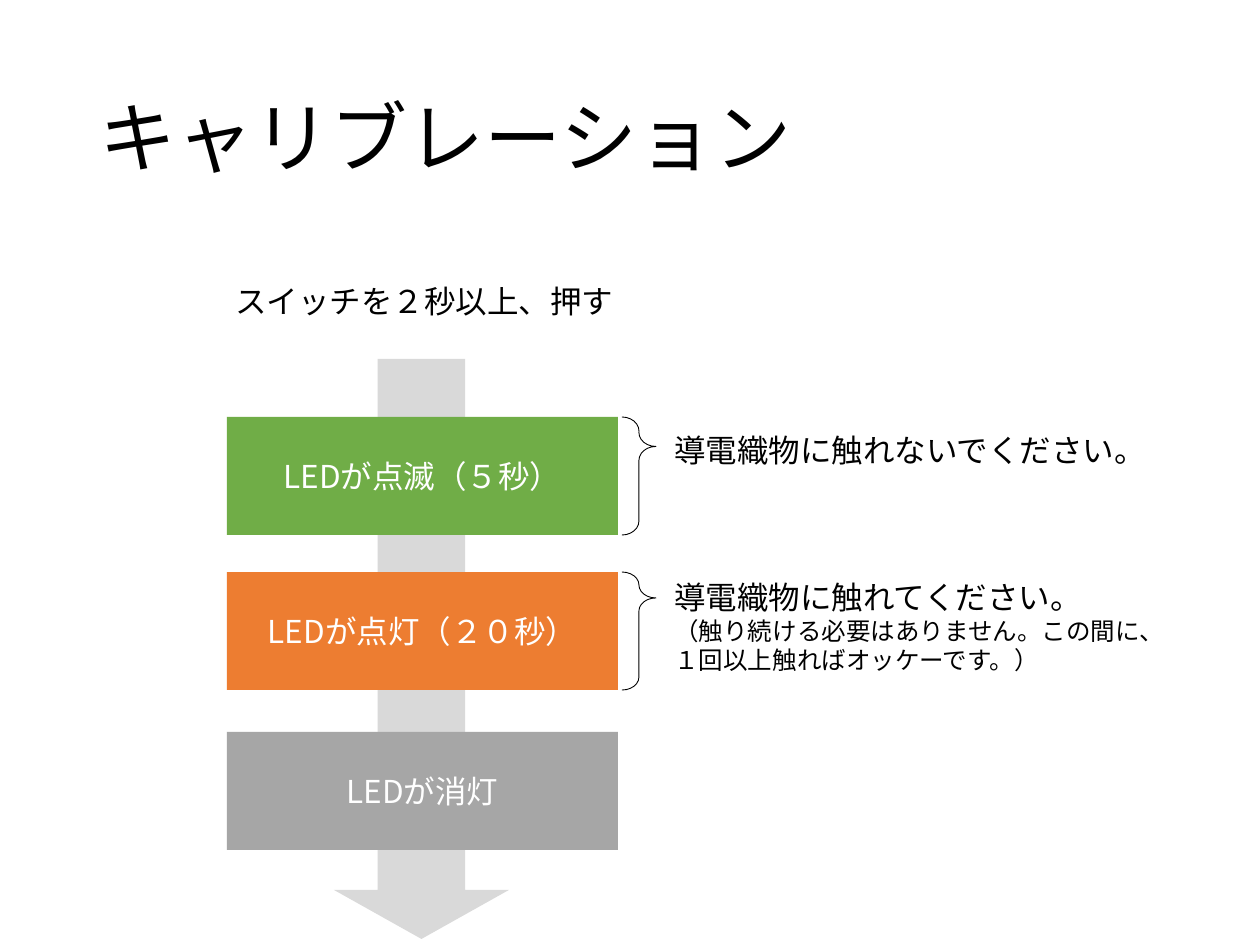
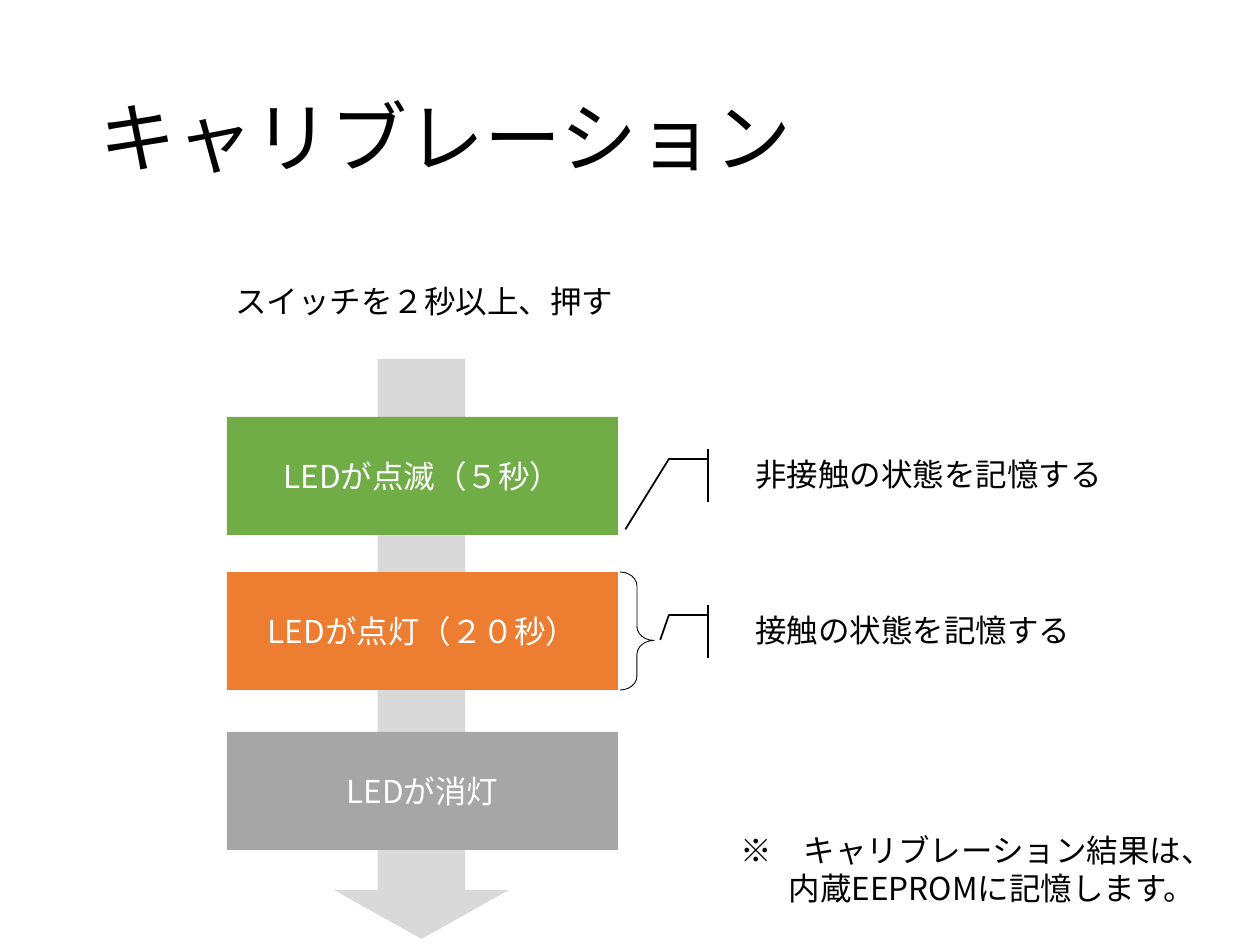
"""Builds two slides that show the calibration steps."""
from pptx import Presentation, util as u
from pptx.dml.color import RGBColor
from pptx.enum import lang, shapes, text
from lxml import etree

PX = 914400 // 126
FONT = "Noto Sans CJK JP"
BLACK, WHITE = "000000", "FFFFFF"
NS = "http://schemas.openxmlformats.org/drawingml/2006/main"
hue = RGBColor.from_string
KIND = shapes.MSO_SHAPE
LEFT, MID = text.PP_ALIGN.LEFT, text.PP_ALIGN.CENTER
TOP, CTR = text.MSO_ANCHOR.TOP, text.MSO_ANCHOR.MIDDLE


def put(slide, kind, box, fill=None, line=None, adj=()):
    shape = slide.shapes.add_shape(kind, *[n * PX for n in box])
    shape.shadow.inherit = False
    for i, n in enumerate(adj):
        shape.adjustments[i] = n
    if fill:
        shape.fill.solid()
        shape.fill.fore_color.rgb = hue(fill)
    else:
        shape.fill.background()
    if line:
        shape.line.color.rgb = hue(BLACK)
        shape.line.width = u.Pt(line)
    else:
        shape.line.fill.background()
    return shape


def write(shape, parts, color=BLACK, align=LEFT, anchor=TOP):
    frame = shape.text_frame
    frame.word_wrap = True
    frame.vertical_anchor = anchor
    for i, (words, size) in enumerate(parts):
        para = frame.add_paragraph() if i else frame.paragraphs[0]
        para.alignment = align
        run = para.add_run()
        run.text = words
        font = run.font
        font.size, font.name = u.Pt(size), FONT
        font.color.rgb = hue(color)
        font.language_id = lang.MSO_LANGUAGE_ID.JAPANESE
        latin = run._r.find(f".//{{{NS}}}latin")
        latin.addnext(etree.Element(f"{{{NS}}}ea", typeface=FONT))
    return frame


deck = Presentation()
deck.slide_width, deck.slide_height = u.Inches(10), u.Inches(7.5)

HIGH = 118
BLINK, LIT, OFF = 417, 572, 732
steps = [
    (BLINK, "70AD47", "LEDが点滅（５秒）"),
    (LIT, "ED7D31", "LEDが点灯（２０秒）"),
    (OFF, "A6A6A6", "LEDが消灯"),
]

pages = []
for _ in range(2):
    page = deck.slides.add_slide(deck.slide_layouts[5])
    pages.append(page)
    title = page.shapes.title
    title.left, title.top, title.width, title.height = [n * PX for n in (87, 50, 1086, 183)]
    frame = write(title, [("キャリブレーション", 44)], anchor=CTR)
    frame.auto_size = text.MSO_AUTO_SIZE.NONE
    frame.paragraphs[0].line_spacing = 0.9

    put(page, KIND.DOWN_ARROW, (334, 359, 175, 580), "D9D9D9", adj=(0.5, 0.28))
    start = page.shapes.add_textbox(*[n * PX for n in (209, 242, 431, HIGH)])
    write(start, [("スイッチを２秒以上、押す", 18)], align=MID, anchor=CTR)
    for top, fill, words in steps:
        step = put(page, KIND.RECTANGLE, (227, top, 391, HIGH), fill)
        write(step, [(words, 18)], WHITE, MID, CTR)

touch, store = pages

braces = [(touch, 622, BLINK, 0.25), (touch, 622, LIT, 0.22), (store, 620, LIT, 0.58)]
for page, left, top, tip in braces:
    put(page, KIND.RIGHT_BRACE, (left, top, 34, HIGH), line=0.5, adj=(0.41, tip))

notes = [
    (425, 50, [("導電織物に触れないでください。", 18)]),
    (572, 111, [
        ("導電織物に触れてください。", 18),
        ("（触り続ける必要はありません。この間に、１回以上触ればオッケーです。）", 14),
    ]),
]
for top, high, parts in notes:
    note = touch.shapes.add_textbox(*[n * PX for n in (662, top, 495, high)])
    write(note, parts).auto_size = text.MSO_AUTO_SIZE.SHAPE_TO_FIT_TEXT

calls = [
    (449, "非接触の状態を記憶する", (1.52, -0.27)),
    (605, "接触の状態を記憶する", (0.66, -0.19)),
]
for top, words, end in calls:
    bend = (0.19, -0.08, 0.19, -0.17)
    call = put(store, KIND.LINE_CALLOUT_2_ACCENT_BAR, (743, top, 436, 53), line=1, adj=bend + end)
    write(call, [(words, 18)])

memo = store.shapes.add_textbox(*[n * PX for n in (713, 810, 496, HIGH)])
frame = write(memo, [("※　キャリブレーション結果は、内蔵EEPROMに記憶します。", 18)], align=MID, anchor=CTR)
props = frame.paragraphs[0]._p.get_or_add_pPr()
props.set("marL", str(62 * PX))
props.set("indent", str(-62 * PX))

deck.save("out.pptx")
